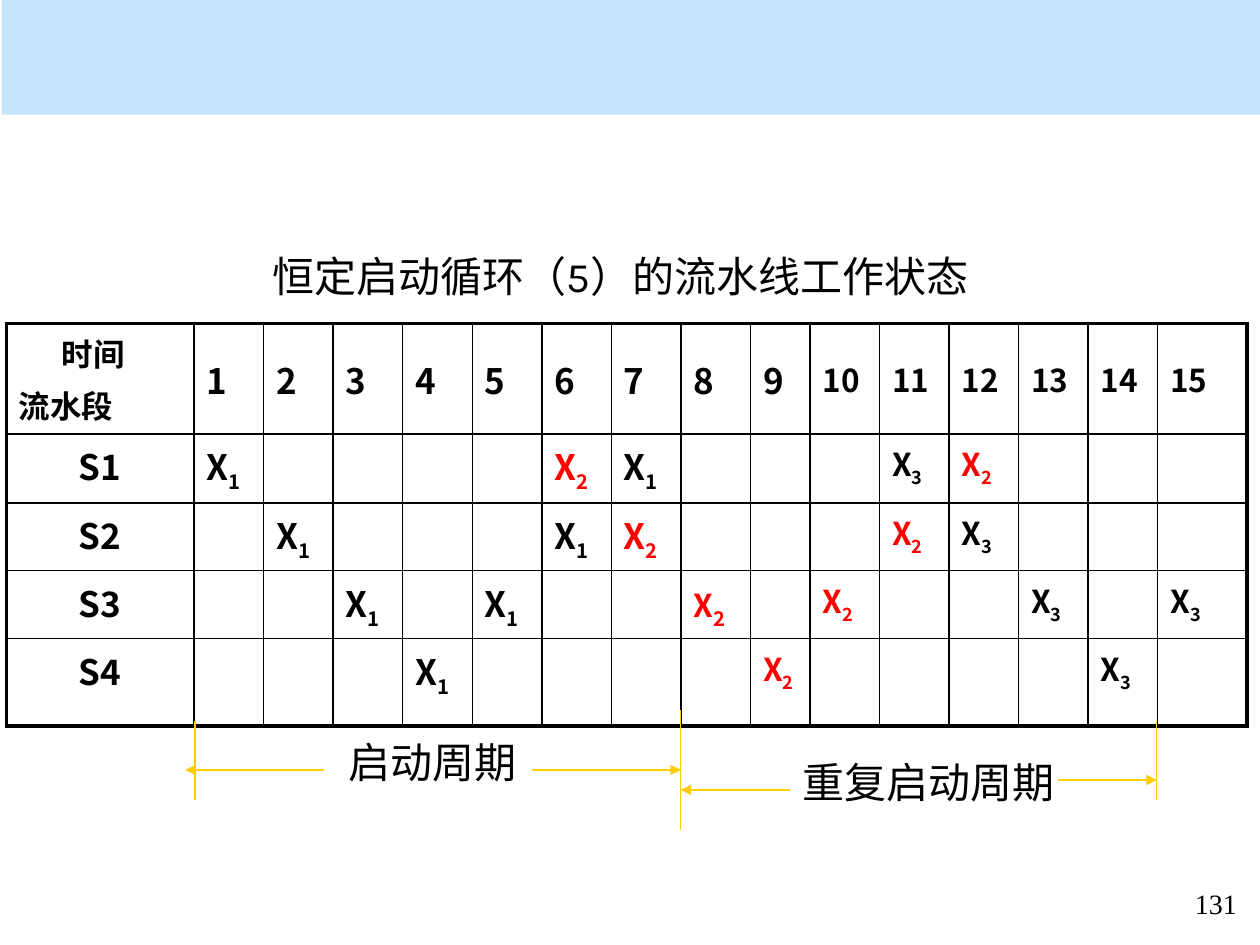
from lxml import etree
from pptx import Presentation
from pptx.dml.color import RGBColor
from pptx.enum import shapes, text
from pptx.oxml.ns import qn
from pptx.util import Pt

COLOURS = {"band": "C7E6FD", "ink": "000000", "second": "FF0000", "mark": "FFCC00"}
TABLE_FONT, LABEL_FONT, NUMBER_FONT = "Noto Sans CJK SC", "Karla", "Times New Roman"

HEADING = "恒定启动循环（5）的流水线工作状态"
CORNER = ("时间", "流水段")
TIMES = range(1, 16)
# stage -> {time: task number}
SCHEDULE = {
    "S1": {1: 1, 6: 2, 7: 1, 11: 3, 12: 2},
    "S2": {2: 1, 6: 1, 7: 2, 11: 2, 12: 3},
    "S3": {3: 1, 5: 1, 8: 2, 10: 2, 13: 3, 15: 3},
    "S4": {4: 1, 9: 2, 14: 3},
}
COLUMN_WIDTHS = [107.3] + [39.75] * 8 + [34] + [39.75] * 5 + [51]
ROW_HEIGHTS = [57.6, 39.4, 38.5, 38.5, 50]

# text, left, top, width, height, alignment, font, size
LABELS = [
    ("启动周期", 167.8, 417.5, 158.4, 36, "CENTER", LABEL_FONT, 24),
    ("重复启动周期", 451.4, 428.5, 160, 36, "LEFT", LABEL_FONT, 24),
    ("131", 669.6, 503.3, 50.4, 24, "CENTER", NUMBER_FONT, 16),
]
# x, top, bottom
BOUNDARIES = [(111.5, 412, 457), (389, 406, 474.5), (661, 412, 457)]
# from x, to x, y
ARROWS = [(185, 106, 440), (303.8, 389, 440), (604.8, 661, 445.7), (451.4, 389, 451.4)]


def colour(name):
    return RGBColor.from_string(COLOURS[name])


def set_font(font, face, size, name="ink", bold=False):
    font.name, font.size, font.bold = face, Pt(size), bold
    font.color.rgb = colour(name)


def set_east_asian(run):
    etree.SubElement(run._r.get_or_add_rPr(), qn("a:ea"), typeface=TABLE_FONT)


def write_label(shape, words, align, face, size):
    frame = shape.text_frame
    frame.word_wrap = True
    frame.auto_size = text.MSO_AUTO_SIZE.NONE
    paragraph = frame.paragraphs[0]
    paragraph.alignment = getattr(text.PP_ALIGN, align)
    run = paragraph.add_run()
    run.text = words
    set_font(run.font, face, size)
    set_east_asian(run)


def write_cell(paragraph, words, size, name="ink"):
    run = paragraph.add_run()
    run.text = words
    set_font(run.font, TABLE_FONT, size, name, bold=True)
    set_east_asian(run)
    return run


def write_task(paragraph, time, task):
    """Write X with the task number as its subscript."""
    name = "second" if task == 2 else "ink"
    write_cell(paragraph, "X", 20 if time < 8 else 18, name)
    index = write_cell(paragraph, str(task), 20 if time < 9 else 18, name)
    index._r.get_or_add_rPr().set("baseline", "-25000")


def set_borders(cell, outer):
    """Rule all four sides, thicker on the sides named in outer."""
    properties = cell._tc.get_or_add_tcPr()
    for side in "LRTB":
        width = Pt(2.25 if side in outer else 1)
        line = etree.SubElement(properties, qn(f"a:ln{side}"), w=str(width))
        fill = etree.SubElement(line, qn("a:solidFill"))
        etree.SubElement(fill, qn("a:srgbClr"), val=COLOURS["ink"])
    cell.fill.background()


def add_schedule(slide):
    rows, columns = len(ROW_HEIGHTS), len(COLUMN_WIDTHS)
    table = slide.shapes.add_table(rows, columns, Pt(3.6), Pt(185), Pt(sum(COLUMN_WIDTHS)),
                                   Pt(sum(ROW_HEIGHTS))).table
    table.first_row = table.horz_banding = False
    for column, width in zip(table.columns, COLUMN_WIDTHS):
        column.width = Pt(width)
    for row, height in zip(table.rows, ROW_HEIGHTS):
        row.height = Pt(height)
    for r in range(rows):
        for c in range(columns):
            edges = {"L": c == 0, "R": c == columns - 1, "T": r == 0, "B": r == rows - 1}
            set_borders(table.cell(r, c), [side for side, outer in edges.items() if outer])

    corner = table.cell(0, 0).text_frame
    write_cell(corner.paragraphs[0], CORNER[0], 18)
    corner.paragraphs[0]._p.get_or_add_pPr().set("marL", str(Pt(24.5)))
    stage_heading = corner.add_paragraph()
    stage_heading.space_before = Pt(3.6)
    write_cell(stage_heading, CORNER[1], 18)

    for time in TIMES:
        cell = table.cell(0, time)
        cell.vertical_anchor = text.MSO_ANCHOR.MIDDLE
        write_cell(cell.text_frame.paragraphs[0], str(time), 20 if time < 10 else 18)
    for r, (stage, tasks) in enumerate(SCHEDULE.items(), 1):
        name = table.cell(r, 0).text_frame.paragraphs[0]
        name.alignment = text.PP_ALIGN.CENTER
        write_cell(name, stage, 20)
        for time, task in tasks.items():
            write_task(table.cell(r, time).text_frame.paragraphs[0], time, task)


def add_line(slide, x1, y1, x2, y2, arrow=False):
    line = slide.shapes.add_connector(shapes.MSO_CONNECTOR.STRAIGHT,
                                      Pt(x1), Pt(y1), Pt(x2), Pt(y2))
    line.line.color.rgb = colour("mark")
    line.line.width = Pt(0.75)
    if arrow:
        etree.SubElement(line.line._get_or_add_ln(), qn("a:tailEnd"), type="triangle")
    etree.SubElement(line._element.spPr, qn("a:effectLst"))


def main():
    deck = Presentation()
    deck.slide_width, deck.slide_height = Pt(720), Pt(540)
    slide = deck.slides.add_slide(deck.slide_layouts[5])

    band = slide.shapes.add_shape(shapes.MSO_SHAPE.RECTANGLE, Pt(0.9), 0, Pt(719.1), Pt(65.6))
    band.shadow.inherit = False
    band.fill.solid()
    band.fill.fore_color.rgb = colour("band")
    band.line.fill.background()

    heading = slide.shapes.title
    heading.left, heading.top, heading.width, heading.height = Pt(65.5), Pt(139.7), Pt(578.2), Pt(36)
    write_label(heading, HEADING, "CENTER", LABEL_FONT, 24)

    add_schedule(slide)
    for words, left, top, width, height, *style in LABELS:
        box = slide.shapes.add_textbox(Pt(left), Pt(top), Pt(width), Pt(height))
        write_label(box, words, *style)
    for x, top, bottom in BOUNDARIES:
        add_line(slide, x, top, x, bottom)
    for start, end, y in ARROWS:
        add_line(slide, start, y, end, y, arrow=True)
    deck.save("out.pptx")


if __name__ == "__main__":
    main()
